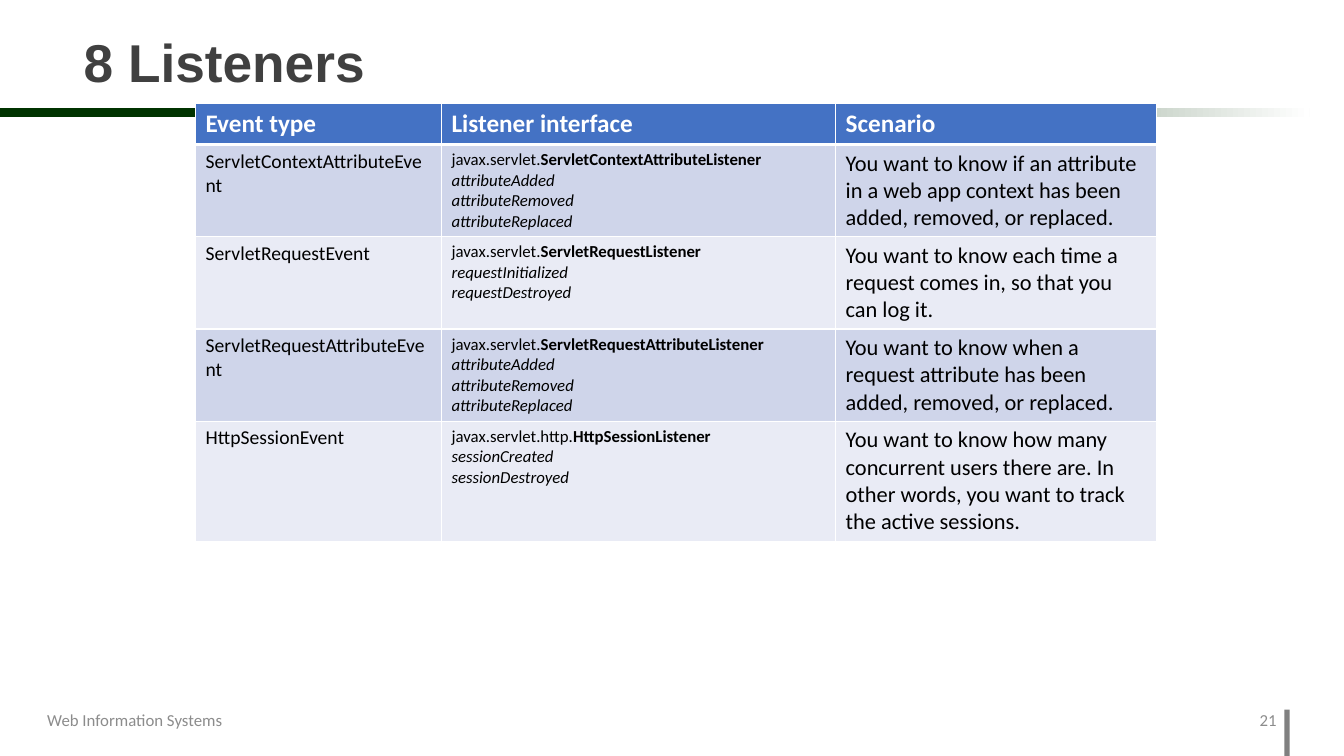
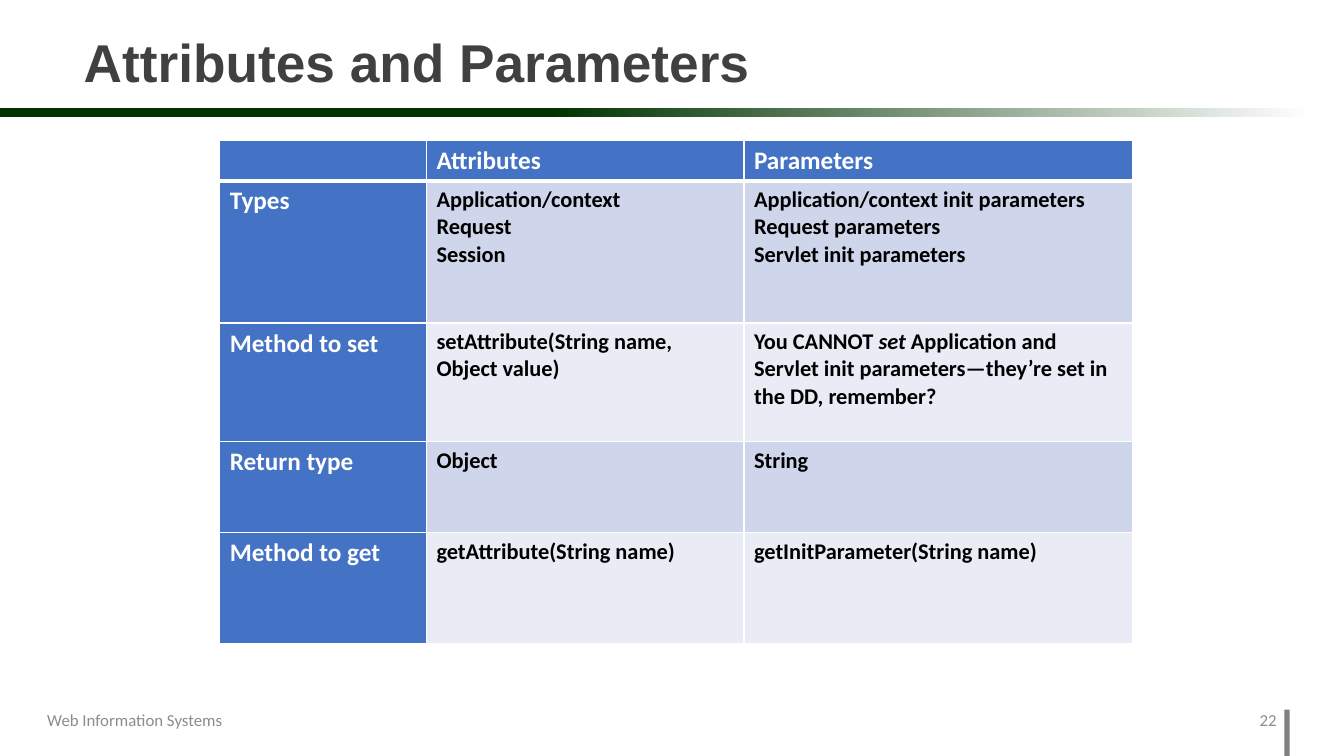
from dataclasses import dataclass
from typing import NamedTuple

from lxml.etree import SubElement
from pptx import Presentation
from pptx.dml.color import RGBColor
from pptx.enum.shapes import MSO_SHAPE as Shape
from pptx.enum.text import MSO_ANCHOR as Anchor, PP_ALIGN as Align
from pptx.oxml.ns import qn
from pptx.util import Inches, Pt

# Shared look
WIDTH, HEIGHT = Inches(13.33), Inches(7.5)
TITLE_FONT, BODY_FONT = "Arial", "Calibri"
WHITE, BLACK = "FFFFFF", "000000"
DARK_GREEN, GREY = "003300", "808080"
TITLE_GREY, FOOTER_GREY = "404040", "8C8C8C"
HEADER_BLUE = "4472C4"
BANDS = ("CFD5EA", "E9EBF5")
FOOTER = "Web Information Systems"
FIRST_PAGE = 21


class Area(NamedTuple):
    """A rectangle in percent of the slide's width and height."""
    left: float
    top: float
    width: float
    height: float


TITLE_AREA = Area(5.48, 2.27, 78.3, 12.67)
RULE_AREA = Area(0, 14.27, 97.45, 1.2)
MARK_AREA = Area(95.57, 93.87, 0.38, 6.13)
FOOTER_AREA = Area(2.78, 92.53, 22.5, 5.33)
NUMBER_AREA = Area(91.9, 92.53, 3.83, 5.33)


class Span(NamedTuple):
    text: str
    bold: bool = False
    italic: bool = False


@dataclass
class Cell:
    lines: list[list[Span]]
    size: float
    color: str = BLACK
    fill: str | None = None


@dataclass
class TablePage:
    title: str
    left: float
    top: float
    columns: list[float]
    rows: list[float]
    cells: list[list[Cell]]


# Cell kinds
def header(text: str) -> Cell:
    return Cell([[Span(text, bold=True)]] if text else [], 18, WHITE, HEADER_BLUE)


def plain(text: str, size: float) -> Cell:
    return Cell([[Span(text)]], size)


def strong(*lines: str) -> Cell:
    return Cell([[Span(line, bold=True)] for line in lines], 16)


def listener(prefix: str, name: str, *methods: str) -> Cell:
    heading = [Span(prefix), Span(name, bold=True)]
    return Cell([heading] + [[Span(method, italic=True)] for method in methods], 12)


# Drawing
def hex_color(value: str) -> RGBColor:
    return RGBColor.from_string(value)


def across(percent: float) -> int:
    return round(WIDTH * percent / 100)


def down(percent: float) -> int:
    return round(HEIGHT * percent / 100)


def place(area: Area) -> tuple[int, int, int, int]:
    return across(area.left), down(area.top), across(area.width), down(area.height)


def add_span(para, text: str, *, size: float, color: str, font: str = BODY_FONT,
             bold: bool = False, italic: bool = False) -> None:
    span = para.add_run()
    span.text = text
    span.font.name, span.font.size = font, Pt(size)
    span.font.bold, span.font.italic = bold, italic
    span.font.color.rgb = hex_color(color)


def add_bar(page, area: Area):
    bar = page.shapes.add_shape(Shape.RECTANGLE, *place(area))
    bar.shadow.inherit = False
    bar.line.fill.background()
    return bar


def add_label(page, area: Area, text: str, align: Align) -> None:
    box = page.shapes.add_textbox(*place(area))
    frame = box.text_frame
    frame.word_wrap = True
    frame.vertical_anchor = Anchor.MIDDLE
    para = frame.paragraphs[0]
    para.alignment = align
    add_span(para, text, size=12, color=FOOTER_GREY)


def add_frame(page, title: str, number: int) -> None:
    # Fading rule and corner mark
    fill = add_bar(page, RULE_AREA).fill
    fill.gradient()
    fill.gradient_angle = 0
    for stop, (position, color) in zip(fill.gradient_stops,
                                       ((0.42, DARK_GREEN), (1, WHITE))):
        stop.position = position
        stop.color.rgb = hex_color(color)
    mark = add_bar(page, MARK_AREA)
    mark.fill.solid()
    mark.fill.fore_color.rgb = hex_color(GREY)

    # Title
    box = page.shapes.title
    box.left, box.top, box.width, box.height = place(TITLE_AREA)
    box.text_frame.vertical_anchor = Anchor.MIDDLE
    para = box.text_frame.paragraphs[0]
    para.alignment, para.line_spacing = Align.LEFT, 0.9
    add_span(para, title, size=38, color=TITLE_GREY, font=TITLE_FONT, bold=True)

    # Footer
    add_label(page, FOOTER_AREA, FOOTER, Align.LEFT)
    add_label(page, NUMBER_AREA, str(number), Align.RIGHT)


def add_borders(target, bottom: float) -> None:
    properties = target._tc.get_or_add_tcPr()
    for side, points in (("L", 1), ("R", 1), ("T", 1), ("B", bottom)):
        line = SubElement(properties, qn(f"a:ln{side}"), w=str(Pt(points)))
        SubElement(SubElement(line, qn("a:solidFill")), qn("a:srgbClr"), val=WHITE)


def fill_cell(target, cell: Cell, row: int) -> None:
    add_borders(target, 1 if row else 3)
    target.fill.solid()
    target.fill.fore_color.rgb = hex_color(cell.fill or BANDS[(row - 1) % 2])
    frame = target.text_frame
    for index, line in enumerate(cell.lines):
        para = frame.add_paragraph() if index else frame.paragraphs[0]
        for span in line:
            add_span(para, span.text, size=cell.size, color=cell.color,
                     bold=span.bold, italic=span.italic)


def add_table(page, content: TablePage) -> None:
    area = Area(content.left, content.top, sum(content.columns), sum(content.rows))
    table = page.shapes.add_table(len(content.rows), len(content.columns),
                                  *place(area)).table
    table.horz_banding = False
    for column, width in zip(table.columns, content.columns):
        column.width = across(width)
    for row, height in zip(table.rows, content.rows):
        row.height = down(height)
    for row, cells in enumerate(content.cells):
        for column, cell in enumerate(cells):
            fill_cell(table.cell(row, column), cell, row)


# Content
ATTRIBUTE_METHODS = ("attributeAdded", "attributeRemoved", "attributeReplaced")

LISTENERS = TablePage(
    "8 Listeners", 14.55, 13.73,
    columns=[18.3, 29.33, 23.85],
    rows=[5.4, 12.2, 12.2, 12.2, 15.87],
    cells=[
        [header("Event type"), header("Listener interface"), header("Scenario")],
        [plain("ServletContextAttributeEvent", 14),
         listener("javax.servlet.", "ServletContextAttributeListener",
                  *ATTRIBUTE_METHODS),
         plain("You want to know if an attribute in a web app context has been "
               "added, removed, or replaced.", 16)],
        [plain("ServletRequestEvent", 14),
         listener("javax.servlet.", "ServletRequestListener",
                  "requestInitialized", "requestDestroyed"),
         plain("You want to know each time a request comes in, so that you can "
               "log it.", 16)],
        [plain("ServletRequestAttributeEvent", 14),
         listener("javax.servlet.", "ServletRequestAttributeListener",
                  *ATTRIBUTE_METHODS),
         plain("You want to know when a request attribute has been added, "
               "removed, or replaced.", 16)],
        [plain("HttpSessionEvent", 14),
         listener("javax.servlet.http.", "HttpSessionListener",
                  "sessionCreated", "sessionDestroyed"),
         plain("You want to know how many concurrent users there are. In other "
               "words, you want to track the active sessions.", 16)],
    ])

ATTRIBUTES = TablePage(
    "Attributes and Parameters", 16.35, 18.53,
    columns=[15.38, 23.63, 28.95],
    rows=[5.4, 18.8, 15.73, 12, 14.67],
    cells=[
        [header(""), header("Attributes"), header("Parameters")],
        [header("Types"),
         strong("Application/context", "Request", "Session"),
         strong("Application/context init parameters", "Request parameters",
                "Servlet init parameters")],
        [header("Method to set"),
         strong("setAttribute(String name, Object value)"),
         Cell([[Span("You CANNOT ", bold=True),
                Span("set ", bold=True, italic=True),
                Span("Application and Servlet init parameters—they’re set in "
                     "the DD, remember?", bold=True)]], 16)],
        [header("Return type"), strong("Object"), strong("String")],
        [header("Method to get"), strong("getAttribute(String name)"),
         strong("getInitParameter(String name)")],
    ])


def main() -> None:
    deck = Presentation()
    deck.slide_width, deck.slide_height = WIDTH, HEIGHT
    title_only = deck.slide_layouts.get_by_name("Title Only")
    for number, content in enumerate((LISTENERS, ATTRIBUTES), FIRST_PAGE):
        page = deck.slides.add_slide(title_only)
        add_frame(page, content.title, number)
        add_table(page, content)
    deck.save("out.pptx")


if __name__ == "__main__":
    main()
